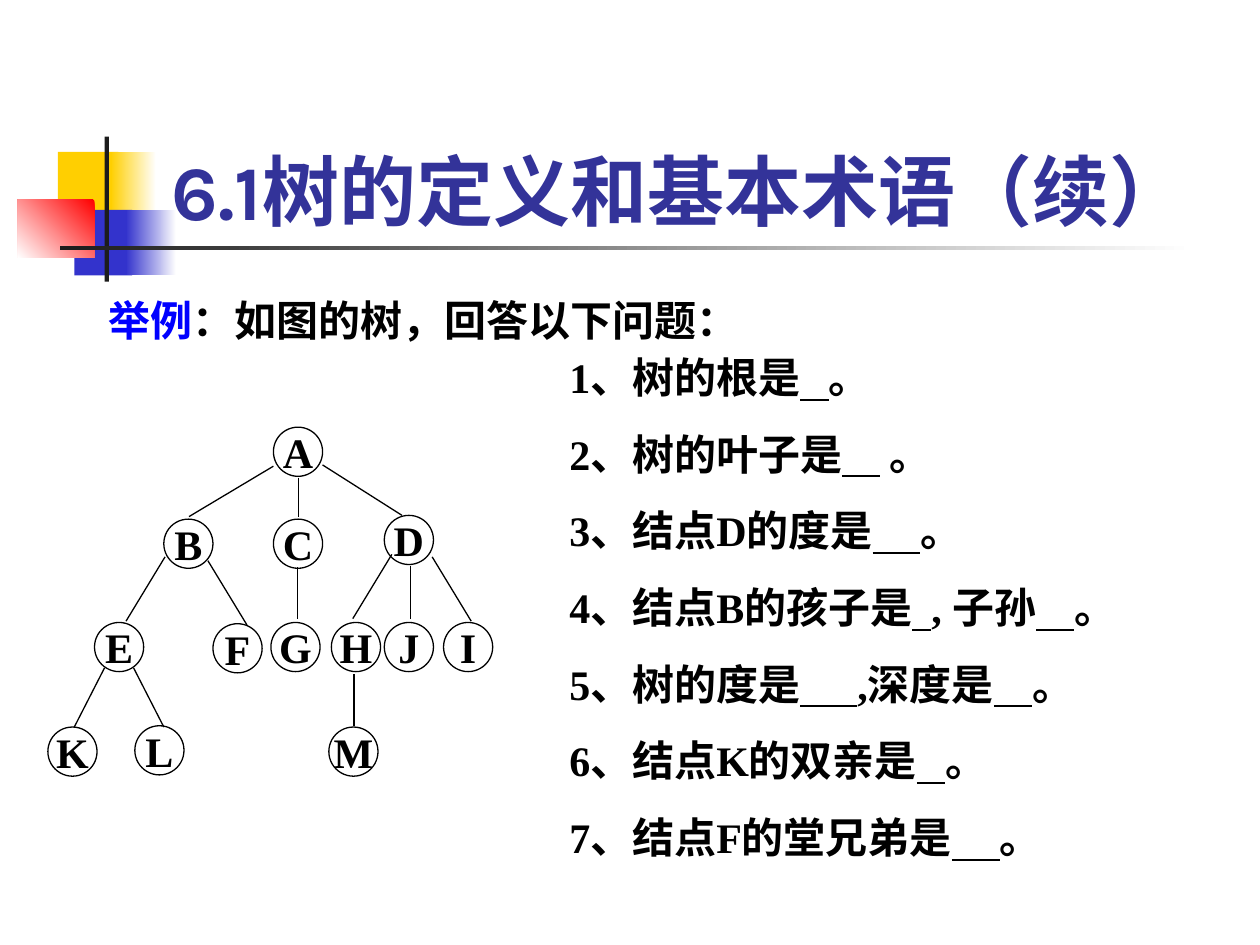
import pptx
import pptx.dml.color
import pptx.enum.shapes
import pptx.enum.text
import pptx.util
from lxml import etree

RGBColor = pptx.dml.color.RGBColor
BLACK = RGBColor(0x00, 0x00, 0x00)
WHITE = RGBColor(0xFF, 0xFF, 0xFF)
YELLOW = RGBColor(0xFF, 0xCF, 0x01)
INDIGO = RGBColor(0x33, 0x33, 0xCC)
RED = RGBColor(0xFF, 0x00, 0x00)
CHARCOAL = RGBColor(0x1C, 0x1C, 0x1C)
TITLE_BLUE = RGBColor(0x33, 0x33, 0x99)
LABEL_BLUE = RGBColor(0x00, 0x00, 0xFF)

SLIDE_WIDTH = pptx.util.Inches(10)
SLIDE_HEIGHT = pptx.util.Inches(7.5)
GRID = SLIDE_WIDTH // 100  # the slide is 100 columns by 75 rows

BODY_FONT = "Times New Roman"
NODE_SIZE = 3.9
RECTANGLE = pptx.enum.shapes.MSO_SHAPE.RECTANGLE
OVAL = pptx.enum.shapes.MSO_SHAPE.OVAL

# Column and row of each node, from the corner of the tree
NODES = {
    "A": (17.9, 0),
    "B": (9.2, 7.3), "C": (17.9, 7.3), "D": (26.7, 7),
    "E": (3.7, 15.5), "F": (13.1, 15.6), "G": (17.7, 15.5),
    "H": (22.5, 15.5), "J": (26.7, 15.5), "I": (31.4, 15.5),
    "K": (0, 23.8), "L": (6.9, 23.7), "M": (22.3, 23.8),
}
# Start and end of each branch, from the same corner
BRANCHES = {
    "AB": (17.9, 3.1, 11.2, 7.1), "AC": (19.9, 4, 19.9, 7.1),
    "AD": (21.8, 3, 28.1, 7),
    "BE": (9.3, 10.3, 6.2, 15.4), "BF": (12.7, 10.6, 15.8, 15.7),
    "CG": (19.8, 11.1, 19.8, 15.2),
    "DH": (27.3, 10.1, 24.2, 15.2), "DJ": (28.8, 11, 28.8, 15.2),
    "DI": (30.5, 10.3, 33.6, 15.4),
    "EK": (4.5, 19.1, 2.1, 23.8), "EL": (6.8, 19.1, 9.2, 23.8),
    "HM": (24.3, 19.6, 24.3, 23.7),
}
# A number stands for an underlined answer blank of that many spaces
QUESTIONS = [
    ("1、树的根是", 3, "。"),
    ("2、树的叶子是", 4, " 。"),
    ("3、结点D的度是", 5, "。"),
    ("4、结点B的孩子是", 2, ", 子孙", 4, "。"),
    ("5、树的度是", 6, ",深度是", 4, "。"),
    ("6、结点K的双亲是", 3, "。"),
    ("7、结点F的堂兄弟是", 5, "。"),
]


def cells(*counts):
    return [round(count * GRID) for count in counts]


def style_run(run, color=BLACK, size=24, font=BODY_FONT):
    run.font.name = font
    run.font.size = pptx.util.Pt(size)
    run.font.bold = True
    run.font.color.rgb = color


def add_run(paragraph, text, color=BLACK):
    run = paragraph.add_run()
    run.text = text
    style_run(run, color)
    return run


def add_block(slide, box, start, end=None, angle=0):
    """Borderless rectangle, solid or fading from start to end."""
    block = slide.shapes.add_shape(RECTANGLE, *cells(*box))
    block.shadow.inherit = False
    block.line.fill.background()
    if end is None:
        block.fill.solid()
        block.fill.fore_color.rgb = start
        return
    block.fill.gradient()
    block.fill.gradient_angle = angle
    for stop, color in zip(block.fill.gradient_stops, (start, end)):
        stop.color.rgb = color


def add_ornament(slide, left, top):
    def block(x, y, width, height, *colors):
        add_block(slide, (left + x, top + y, width, height), *colors)

    block(3.2, 1.2, 4.8, 5.2, YELLOW)
    block(7.4, 1.2, 3.6, 5.2, WHITE, YELLOW, 180)
    block(4.5, 5.8, 4.6, 5.2, INDIGO)
    block(8.6, 5.8, 4, 5.2, WHITE, INDIGO, 180)
    block(0, 5, 6.1, 4.6, RED, WHITE, 225)
    block(6.9, 0, 0.35, 11.5, CHARCOAL)
    block(3.4, 8.65, 90, 0.35, WHITE, CHARCOAL, 180)


def add_title(slide, box):
    title = slide.shapes.title
    title.left, title.top, title.width, title.height = cells(*box)
    frame = title.text_frame
    frame.text = "6.1树的定义和基本术语（续）"
    frame.auto_size = pptx.enum.text.MSO_AUTO_SIZE.NONE
    frame.vertical_anchor = pptx.enum.text.MSO_ANCHOR.BOTTOM
    heading = frame.paragraphs[0]
    heading.alignment = pptx.enum.text.PP_ALIGN.LEFT
    style_run(heading.runs[0], TITLE_BLUE, 44, "Karla")


def add_node(slide, letter, left, top):
    node = slide.shapes.add_shape(OVAL, *cells(left, top, NODE_SIZE, NODE_SIZE))
    node.shadow.inherit = False
    node.fill.background()
    node.line.color.rgb = BLACK
    node.line.width = pptx.util.Pt(0.75)
    frame = node.text_frame
    frame.word_wrap = False
    frame.vertical_anchor = pptx.enum.text.MSO_ANCHOR.MIDDLE
    frame.text = letter
    frame.paragraphs[0].alignment = pptx.enum.text.PP_ALIGN.CENTER
    style_run(frame.paragraphs[0].runs[0])


def add_branch(slide, ends):
    branch = slide.shapes.add_connector(
        pptx.enum.shapes.MSO_CONNECTOR.STRAIGHT, *cells(*ends))
    branch.line.color.rgb = BLACK
    branch.line.width = pptx.util.Pt(0.75)
    etree.SubElement(branch._element.spPr, pptx.oxml.ns.qn("a:effectLst"))


def add_tree(slide, left, top):
    for x1, y1, x2, y2 in BRANCHES.values():
        add_branch(slide, (left + x1, top + y1, left + x2, top + y2))
    for letter, (column, row) in NODES.items():
        add_node(slide, letter, left + column, top + row)


def add_prompt(slide, box):
    frame = slide.shapes.add_textbox(*cells(*box)).text_frame
    frame.word_wrap = False
    add_run(frame.paragraphs[0], "举例", LABEL_BLUE)
    add_run(frame.paragraphs[0], "：如图的树，回答以下问题：")


def add_questions(slide, box):
    frame = slide.shapes.add_textbox(*cells(*box)).text_frame
    frame.word_wrap = True
    for index, parts in enumerate(QUESTIONS):
        question = frame.add_paragraph() if index else frame.paragraphs[0]
        question.space_before = pptx.util.Pt(15)
        for part in parts:
            if isinstance(part, int):
                add_run(question, " " * part).font.underline = True
            else:
                add_run(question, part)


def main():
    deck = pptx.Presentation()
    deck.slide_width = SLIDE_WIDTH
    deck.slide_height = SLIDE_HEIGHT
    slide = deck.slides.add_slide(deck.slide_layouts[5])
    add_ornament(slide, 1.4, 10.85)
    add_title(slide, (12.6, 6.7, 85.2, 12.5))
    add_prompt(slide, (7.6, 22.9, 52, 5))
    add_tree(slide, 3.8, 33.9)
    add_questions(slide, (44.2, 27.4, 55, 41.5))
    deck.save("out.pptx")


if __name__ == "__main__":
    main()
